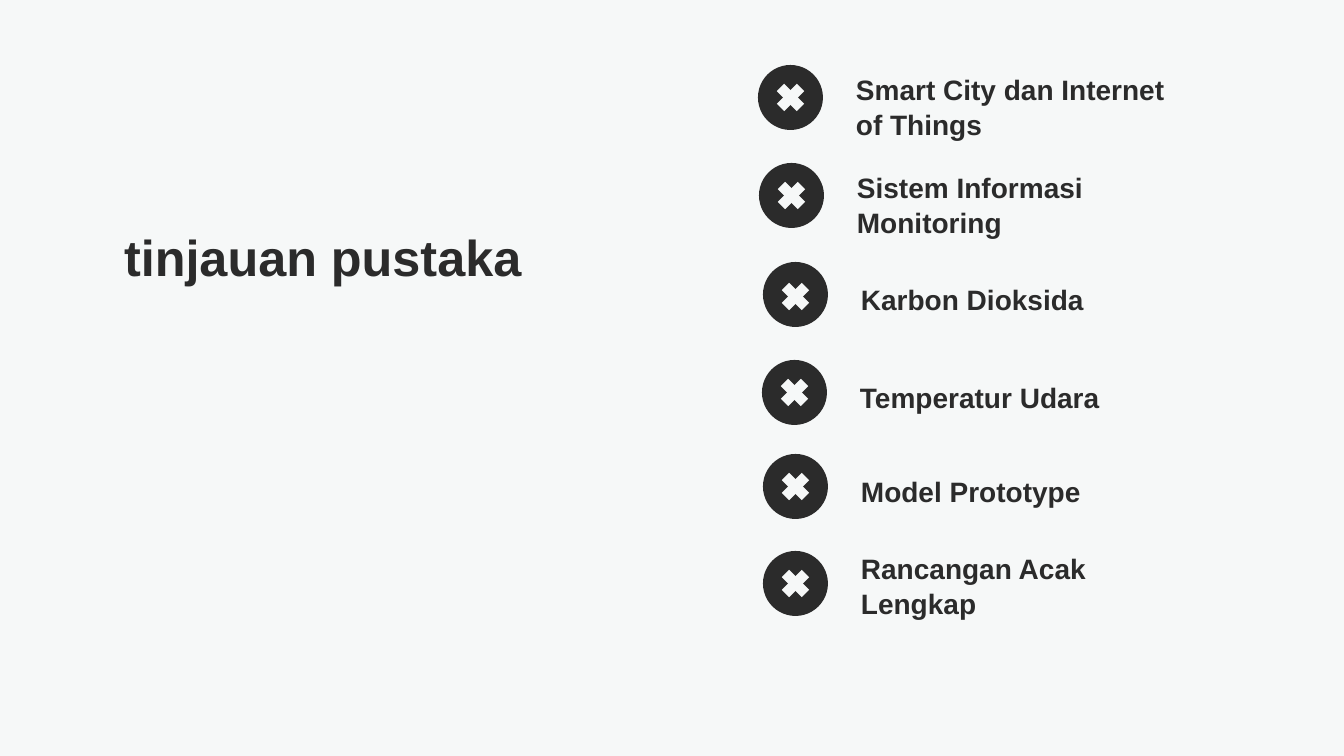
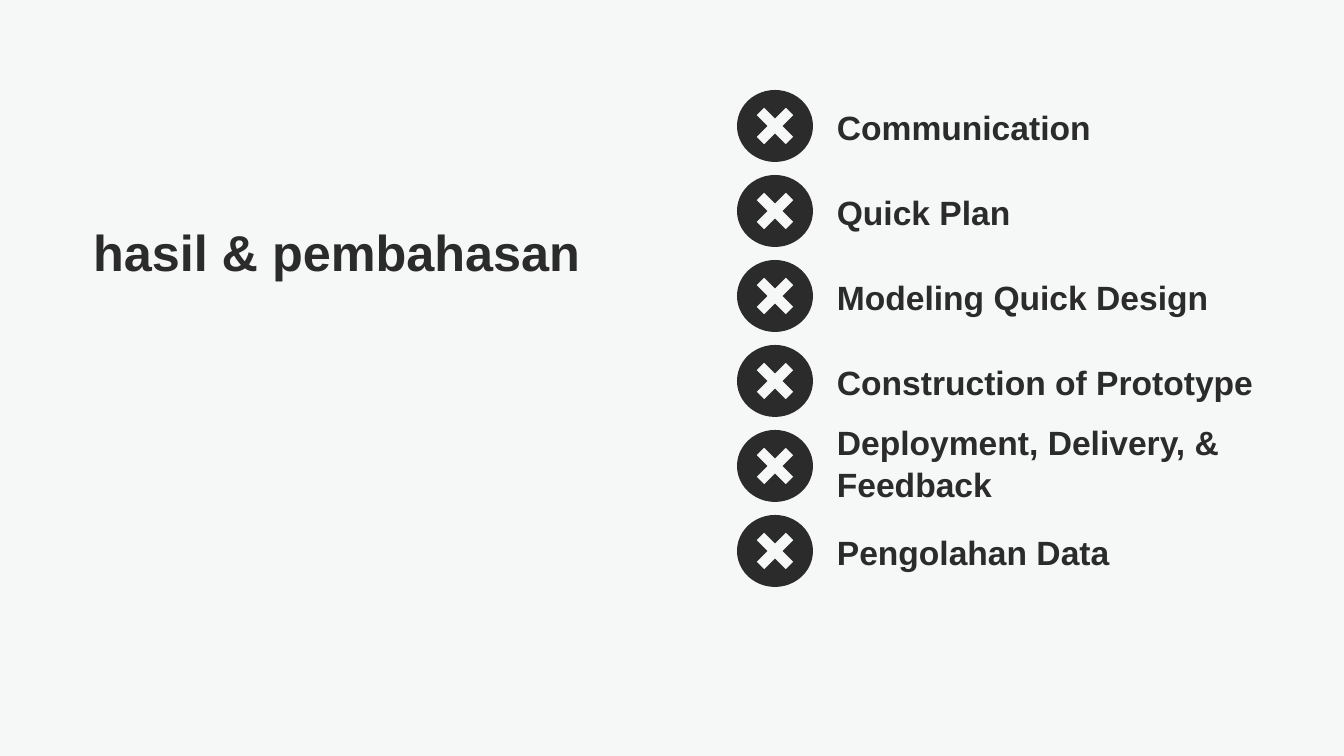
from lxml import etree
from pptx import Presentation, util as u
from pptx.dml.color import RGBColor
from pptx.enum import shapes, text
from pptx.oxml import ns

PX = 9144000 / 1008  # EMU in one px at 100.8 px to the inch
INK, PAPER = "2B2B2B", "F6F8F8"
FONT = "Arial"
TITLE_SIZE = 36
CROSS_WEIGHT = 7.5


def px(*lengths):
    return [u.Emu(round(length * PX)) for length in lengths]


def colour(hex_value):
    return RGBColor.from_string(hex_value)


def write(box, words, size):
    """Fill a box with one bold, left-aligned paragraph."""
    frame = box.text_frame
    frame.text = words
    frame.word_wrap = True
    frame.auto_size = text.MSO_AUTO_SIZE.NONE
    frame.vertical_anchor = text.MSO_ANCHOR.TOP
    para = frame.paragraphs[0]
    para.alignment = text.PP_ALIGN.LEFT
    para.line_spacing = 1.05
    font = para.runs[0].font
    font.name, font.size, font.bold = FONT, u.Pt(size), True
    font.color.rgb = colour(INK)


def add_title(page, words, left, top):
    title = page.shapes.title
    title.left, title.top, title.width, title.height = px(left, top, 556, 72)
    write(title, words, TITLE_SIZE)


def add_cross(group, centre_x, centre_y, span):
    half = span / 2
    for slope in (1, -1):
        stroke = group.shapes.add_connector(
            shapes.MSO_CONNECTOR.STRAIGHT,
            *px(centre_x - half, centre_y - slope * half,
                centre_x + half, centre_y + slope * half))
        stroke.line.color.rgb = colour(PAPER)
        stroke.line.width = u.Pt(CROSS_WEIGHT)
        etree.SubElement(stroke._element.spPr, ns.qn("a:effectLst"))


def add_item(page, words, left, top, badge, span, label, size, cross_drop=0):
    """Badge with a cross, and a label placed relative to the badge corner."""
    group = page.shapes.add_group_shape()
    width, height = badge
    disc = group.shapes.add_shape(
        shapes.MSO_SHAPE.OVAL, *px(left, top, width, height))
    disc.shadow.inherit = False
    disc.fill.solid()
    disc.fill.fore_color.rgb = colour(INK)
    disc.line.fill.background()
    add_cross(group, left + width / 2, top + height / 2 + cross_drop, span)
    label_x, label_y, label_width, label_height = label
    box = group.shapes.add_textbox(
        *px(left + label_x, top + label_y, label_width, label_height))
    write(box, words, size)


def literature_slide(page):
    add_title(page, "tinjauan pustaka", 114, 218)
    # Label, badge left and top, label drop, label height, cross drop
    topics = [
        ("Smart City dan Internet of Things", 758, 65, 1, 78, 0),
        ("Sistem Informasi Monitoring", 759, 163, 1, 78, 0),
        ("Karbon Dioksida", 763, 262, 14, 44, 2),
        ("Temperatur Udara", 762, 360, 14, 44, 0),
        ("Model Prototype", 763, 454, 14, 44, 0),
        ("Rancangan Acak Lengkap", 763, 551, -6, 78, 0),
    ]
    for words, left, top, drop, height, cross_drop in topics:
        add_item(page, words, left, top, (65, 65), 20,
                 (88, drop, 330, height), 20, cross_drop)


def results_slide(page):
    add_title(page, "hasil & pembahasan", 83, 213)
    # Label, label drop and label height; badges are evenly spaced
    one_line, two_lines = (10, 52), (-15, 92)
    stages = [
        ("Communication", one_line),
        ("Quick Plan", one_line),
        ("Modeling Quick Design", one_line),
        ("Construction of Prototype", one_line),
        ("Deployment, Delivery, & Feedback", two_lines),
        ("Pengolahan Data", one_line),
    ]
    for row, (words, (drop, height)) in enumerate(stages):
        add_item(page, words, 737, 90 + 85 * row, (76, 72), 29,
                 (90, drop, 449, height), 24)


def main():
    deck = Presentation()
    deck.slide_width, deck.slide_height = px(1344, 756)
    backdrop = deck.slide_master.background.fill
    backdrop.solid()
    backdrop.fore_color.rgb = colour(PAPER)
    for build in (literature_slide, results_slide):
        build(deck.slides.add_slide(deck.slide_layouts[5]))
    deck.save("out.pptx")


if __name__ == "__main__":
    main()
